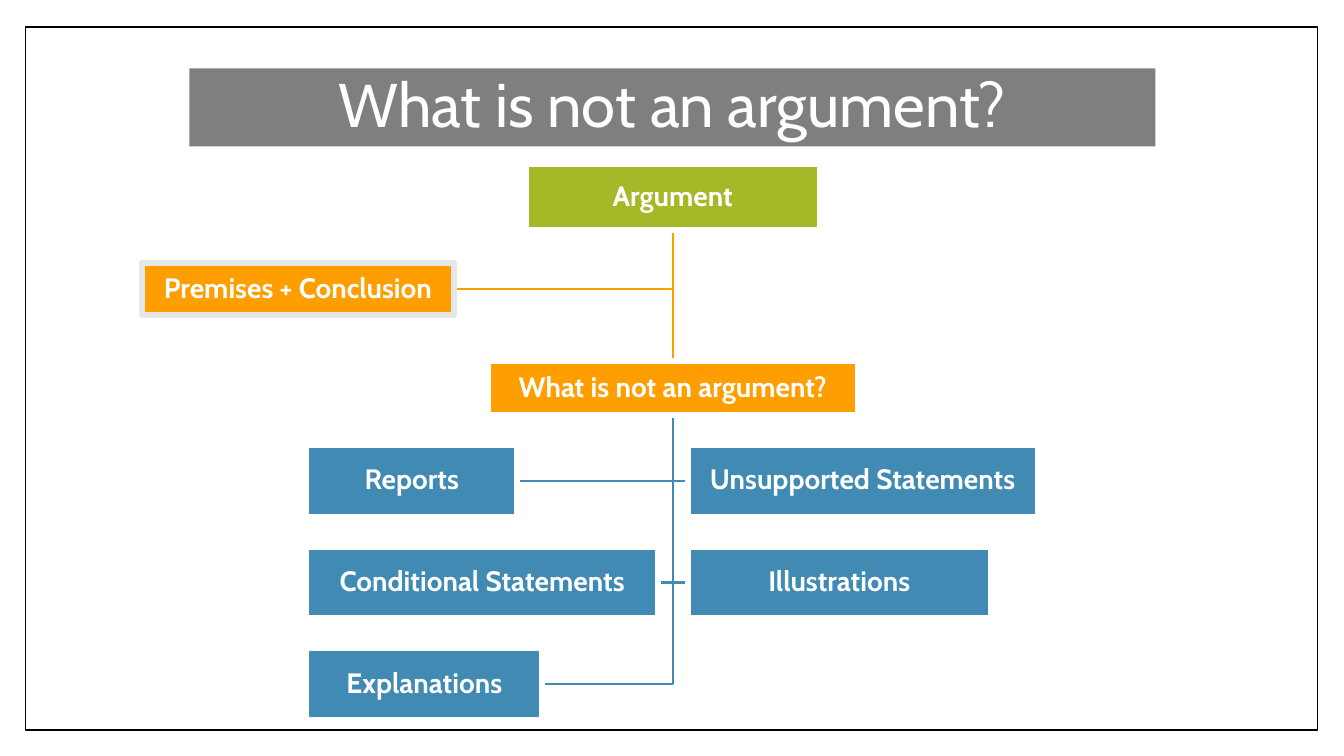
from dataclasses import dataclass

from lxml import etree
from pptx import Presentation
from pptx.dml.color import RGBColor
from pptx.enum import shapes, text
from pptx.oxml import ns
from pptx.util import Pt


@dataclass(frozen=True)
class Theme:
    font: str = "Cabin"
    title_size: int = 44
    box_size: int = 20
    line_spacing: float = 0.9
    box_inset: float = 0.9
    border: float = 4.25
    branch: float = 1.5
    frame: float = 1
    black: str = "000000"
    white: str = "FFFFFF"
    green: str = "A6B727"
    orange: str = "FE9E00"
    blue: str = "418AB3"
    pale: str = "E7E7E7"


THEME = Theme()
SLIDE = (960, 540)
FRAME = (18.2, 19.4, 923, 502)
TITLE = ("What is not an argument?", (135.2, 48.8, 690, 55.7))
ARGUMENT = ("Argument", 117.4, 210, 46.8)
NOT_ARGUMENT = ("What is not an argument?", 257.9, 264.2, 38.8)
PREMISES = ("Premises + Conclusion", (101.4, 188, 223, 37))
KINDS = [
    [("Reports", 150.6), ("Unsupported Statements", 249.9)],
    [("Conditional Statements", 251.3), ("Illustrations", 216.4)],
    [("Explanations", 168.6)],
]
SPINE = 480.6
COLUMNS = (218.8, 491.3)
FIRST_ROW, ROW_PITCH, ROW_HEIGHT = 318, 72.6, 51


def rgb(value):
    return RGBColor.from_string(value)


def write(shape, words, size, bold=False):
    frame = shape.text_frame
    frame.word_wrap = True
    frame.auto_size = text.MSO_AUTO_SIZE.NONE
    frame.vertical_anchor = text.MSO_ANCHOR.MIDDLE
    line = frame.paragraphs[0]
    line.alignment = text.PP_ALIGN.CENTER
    line.line_spacing = THEME.line_spacing
    run = line.add_run()
    run.text = words
    run.font.name = THEME.font
    run.font.size = Pt(size)
    run.font.bold = bold
    run.font.color.rgb = rgb(THEME.white)


def outline(shape, color, width):
    shape.line.color.rgb = rgb(color)
    shape.line.width = Pt(width)


def add_rect(slide, bounds):
    rect = slide.shapes.add_shape(shapes.MSO_SHAPE.RECTANGLE, *map(Pt, bounds))
    rect.shadow.inherit = False
    return rect


def add_box(slide, words, bounds, fill, border=THEME.white):
    box = add_rect(slide, bounds)
    box.fill.solid()
    box.fill.fore_color.rgb = rgb(fill)
    outline(box, border, THEME.border)
    frame = box.text_frame
    frame.margin_left = frame.margin_right = Pt(THEME.box_inset)
    frame.margin_top = frame.margin_bottom = Pt(THEME.box_inset)
    write(box, words, THEME.box_size, bold=True)


def add_elbow(slide, top, end_x, end_y, color):
    builder = slide.shapes.build_freeform(Pt(SPINE), Pt(top))
    corner, end = (Pt(SPINE), Pt(end_y)), (Pt(end_x), Pt(end_y))
    builder.add_line_segments([corner, end], close=False)
    elbow = builder.convert_to_shape()
    elbow.fill.background()
    elbow.shadow.inherit = False
    outline(elbow, color, THEME.branch)


def add_trunk(slide, top, bottom, color):
    trunk = slide.shapes.add_connector(
        shapes.MSO_CONNECTOR.STRAIGHT, Pt(SPINE), Pt(top), Pt(SPINE), Pt(bottom))
    outline(trunk, color, THEME.branch)
    etree.SubElement(trunk._element.spPr, ns.qn("a:effectLst"))


def add_title(slide):
    words, bounds = TITLE
    title = slide.shapes.title
    title.left, title.top, title.width, title.height = map(Pt, bounds)
    title.fill.solid()
    title.fill.fore_color.rgb = rgb(THEME.black)
    black = title._element.spPr.find(".//" + ns.qn("a:srgbClr"))
    etree.SubElement(black, ns.qn("a:alpha"), val="50000")
    write(title, words, THEME.title_size)


def centred(top, width, height):
    return SPINE - width / 2, top, width, height


def place_kinds():
    for row, kinds in enumerate(KINDS):
        top = FIRST_ROW + row * ROW_PITCH
        for left, (words, width) in zip(COLUMNS, kinds):
            yield words, (left, top, width, ROW_HEIGHT)


def add_tree(slide):
    argument, argument_top, *argument_size = ARGUMENT
    question, question_top, *question_size = NOT_ARGUMENT
    premises, premises_bounds = PREMISES
    argument_end = argument_top + argument_size[1]
    question_end = question_top + question_size[1]
    kinds = list(place_kinds())

    left, top, width, height = premises_bounds
    add_elbow(slide, argument_end, left + width, top + height / 2, THEME.orange)
    for _, (left, top, width, height) in kinds:
        near_edge = left if left > SPINE else left + width
        add_elbow(slide, question_end, near_edge, top + height / 2, THEME.blue)
    add_trunk(slide, argument_end, question_top, THEME.orange)

    add_box(slide, argument, centred(argument_top, *argument_size), THEME.green)
    add_box(slide, question, centred(question_top, *question_size), THEME.orange)
    for words, bounds in kinds:
        add_box(slide, words, bounds, THEME.blue)
    add_box(slide, premises, premises_bounds, THEME.orange, THEME.pale)


def main():
    deck = Presentation()
    deck.slide_width, deck.slide_height = map(Pt, SLIDE)
    slide = deck.slides.add_slide(deck.slide_layouts.get_by_name("Title Only"))
    add_title(slide)
    border = add_rect(slide, FRAME)
    border.fill.background()
    outline(border, THEME.black, THEME.frame)
    add_tree(slide)
    deck.save("out.pptx")


if __name__ == "__main__":
    main()
